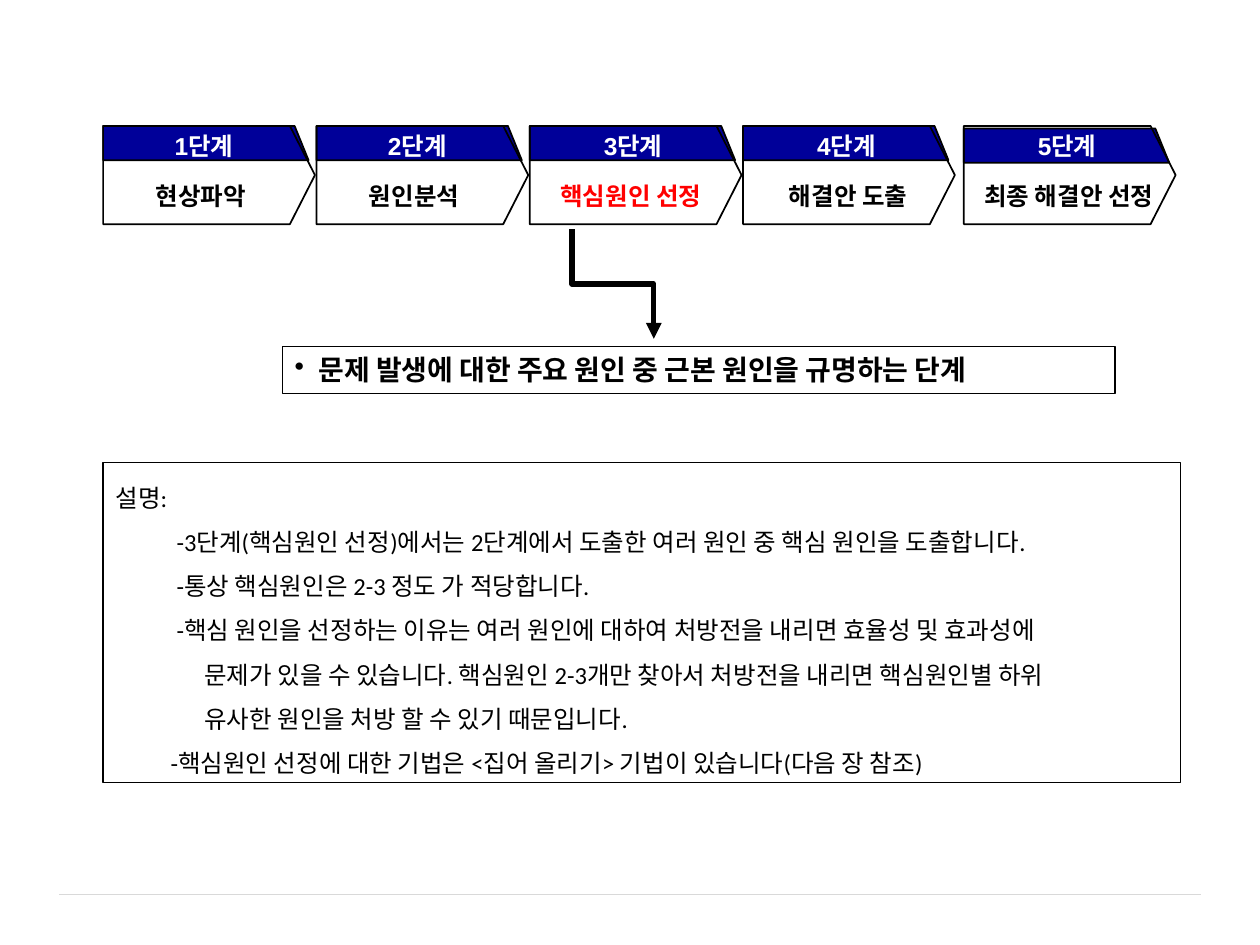
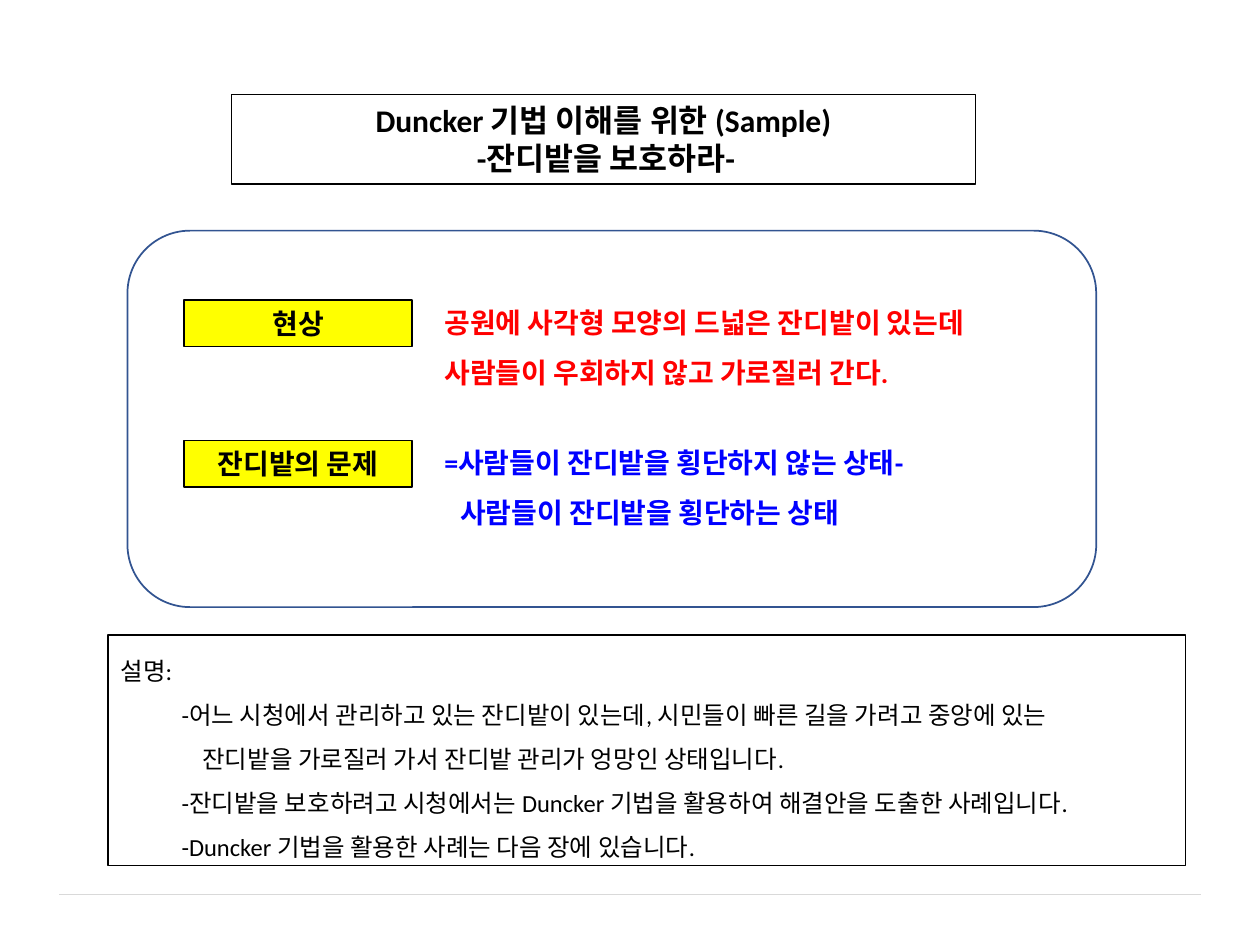
from dataclasses import dataclass
from typing import NamedTuple, Optional

from lxml import etree
from pptx import Presentation
from pptx import util as u
from pptx.dml.color import RGBColor
from pptx.enum import shapes, text
from pptx.oxml import ns

# Shared look
BLACK = RGBColor(0x00, 0x00, 0x00)
WHITE = RGBColor(0xFF, 0xFF, 0xFF)
RED = RGBColor(0xFF, 0x00, 0x00)
BLUE = RGBColor(0x00, 0x00, 0xFF)
NAVY = RGBColor(0x00, 0x00, 0x99)
YELLOW = RGBColor(0xFF, 0xFF, 0x00)
FRAME_BLUE = RGBColor(0x32, 0x54, 0x91)
FOOTER_GRAY = RGBColor(0xD9, 0xD9, 0xD9)
HEADING_FONT, BODY_FONT = "Arial", "Calibri"
CENTER = text.PP_ALIGN.CENTER
LEFT = text.PP_ALIGN.LEFT
NOTE_INDENT = 1.23


class Box(NamedTuple):
    """Position and size in centimetres."""
    left: float
    top: float
    width: float
    height: float

    def lengths(self) -> list:
        return [u.Cm(value) for value in self]


class Line(NamedTuple):
    """One paragraph with its left indent in centimetres."""
    words: str
    indent: float = 0
    bullet: Optional[str] = None


@dataclass
class Style:
    size: float
    color: RGBColor = BLACK
    bold: bool = True
    font: str = BODY_FONT
    align: text.PP_ALIGN = LEFT
    spacing: Optional[float] = None
    anchor: text.MSO_ANCHOR = text.MSO_ANCHOR.TOP


@dataclass
class Stage:
    heading: str
    label: str
    heading_shift: float
    label_shift: float
    color: RGBColor = BLACK
    shift: float = 0
    band_drop: float = 0


@dataclass
class Topic:
    tag: str
    lines: list
    color: RGBColor


STAGES = [
    Stage("1단계", "현상파악", -0.05, -0.2),
    Stage("2단계", "원인분석", -0.05, -0.2),
    Stage("3단계", "핵심원인 선정", 0, -0.13, RED),
    Stage("4단계", "해결안 도출", 0, -0.05),
    Stage("5단계", "최종 해결안 선정", 0, -0.05, shift=0.15, band_drop=0.05),
]
STAGE_LEFT, STAGE_TOP, STAGE_STEP = 2.08, 2.54, 4.3

STAGE_NOTES = [
    Line("설명:"),
    Line("-3단계(핵심원인 선정)에서는 2단계에서 도출한 여러 원인 중 핵심 원인을 도출합니다.", NOTE_INDENT),
    Line("-통상 핵심원인은 2-3 정도 가 적당합니다.", NOTE_INDENT),
    Line("-핵심 원인을 선정하는 이유는 여러 원인에 대하여 처방전을 내리면 효율성 및 효과성에", NOTE_INDENT),
    Line("문제가 있을 수 있습니다. 핵심원인 2-3개만 찾아서 처방전을 내리면 핵심원인별 하위", 1.79),
    Line("유사한 원인을 처방 할 수 있기 때문입니다.", 1.79),
    Line("-핵심원인 선정에 대한 기법은 <집어 올리기> 기법이 있습니다(다음 장 참조)", 1.11),
]
LAWN_NOTES = [
    Line("설명:"),
    Line("-어느 시청에서 관리하고 있는 잔디밭이 있는데, 시민들이 빠른 길을 가려고 중앙에 있는", NOTE_INDENT),
    Line("잔디밭을 가로질러 가서 잔디밭 관리가 엉망인 상태입니다.", 1.65),
    Line("-잔디밭을 보호하려고 시청에서는 Duncker 기법을 활용하여 해결안을 도출한 사례입니다.", NOTE_INDENT),
    Line("-Duncker 기법을 활용한 사례는 다음 장에 있습니다.", NOTE_INDENT),
]
TOPICS = [
    Topic("현상", [Line("공원에 사각형 모양의 드넓은 잔디밭이 있는데"),
                 Line("사람들이 우회하지 않고 가로질러 간다.")], RED),
    Topic("잔디밭의 문제", [Line("=사람들이 잔디밭을 횡단하지 않는 상태-"),
                      Line("사람들이 잔디밭을 횡단하는 상태", 0.32)], BLUE),
]


# Drawing helpers
def paint(shape, fill: Optional[RGBColor], line: RGBColor, width: float) -> None:
    shape.shadow.inherit = False
    if fill is None:
        shape.fill.background()
    else:
        shape.fill.solid()
        shape.fill.fore_color.rgb = fill
    shape.line.color.rgb = line
    shape.line.width = u.Pt(width)


def write(shape, lines: list, style: Style) -> None:
    frame = shape.text_frame
    frame.word_wrap = True
    frame.auto_size = text.MSO_AUTO_SIZE.SHAPE_TO_FIT_TEXT
    frame.vertical_anchor = style.anchor
    for index, line in enumerate(lines):
        paragraph = frame.paragraphs[0] if index == 0 else frame.add_paragraph()
        paragraph.alignment = style.align
        if style.spacing:
            paragraph.line_spacing = style.spacing
        if line.indent:
            properties = paragraph._p.get_or_add_pPr()
            properties.set("marL", str(u.Cm(line.indent)))
            if line.bullet:
                properties.set("indent", str(-u.Cm(line.indent)))
                etree.SubElement(properties, ns.qn("a:buChar"), char=line.bullet)
        run = paragraph.add_run()
        run.text = line.words
        run.font.name = style.font
        run.font.size = u.Pt(style.size)
        run.font.bold = style.bold
        run.font.color.rgb = style.color


def add_text(slide, box: Box, lines: list, style: Style) -> None:
    write(slide.shapes.add_textbox(*box.lengths()), lines, style)


def add_framed_text(slide, box: Box, lines: list, style: Style,
                    fill: Optional[RGBColor] = None) -> None:
    shape = slide.shapes.add_shape(shapes.MSO_SHAPE.RECTANGLE, *box.lengths())
    paint(shape, fill, BLACK, 0.75)
    write(shape, lines, style)


def add_notes(slide, box: Box, lines: list) -> None:
    add_framed_text(slide, box, lines, Style(14, bold=False, spacing=1.5))


def add_line(slide, kind, ends: tuple, color: RGBColor, width: float):
    connector = slide.shapes.add_connector(kind, *[u.Cm(value) for value in ends])
    connector.line.color.rgb = color
    connector.line.width = u.Pt(width)
    etree.SubElement(connector._element.spPr, ns.qn("a:effectLst"))
    return connector


def add_slide(presentation):
    slide = presentation.slides.add_slide(presentation.slide_layouts[6])
    add_line(slide, shapes.MSO_CONNECTOR.STRAIGHT, (1.19, 18.03, 24.21, 18.03),
             FOOTER_GRAY, 0.5)
    return slide


def add_stage(slide, stage: Stage, left: float) -> None:
    # Slanted heading band
    top = STAGE_TOP + stage.band_drop
    corners = [(left, top + 0.69), (left + 4.14, top + 0.69), (left + 3.86, top)]
    builder = slide.shapes.build_freeform(u.Cm(left), u.Cm(top))
    builder.add_line_segments([(u.Cm(x), u.Cm(y)) for x, y in corners], close=True)
    paint(builder.convert_to_shape(), NAVY, BLACK, 1)

    # Arrow outline
    outline = slide.shapes.add_shape(shapes.MSO_SHAPE.PENTAGON,
                                     *Box(left, STAGE_TOP, 4.27, 1.98).lengths())
    outline.adjustments[0] = 0.255
    paint(outline, None, BLACK, 1)

    # Heading and label
    add_text(slide, Box(left + stage.heading_shift, 2.51, 4.17, 0.84), [Line(stage.heading)],
             Style(14, WHITE, font=HEADING_FONT, align=CENTER))
    add_text(slide, Box(left + stage.label_shift, 3.53, 4.34, 0.84), [Line(stage.label)],
             Style(14, stage.color, font=HEADING_FONT, align=CENTER,
                   anchor=text.MSO_ANCHOR.MIDDLE))


def add_down_arrow(slide) -> None:
    """Elbow turned a quarter so that it leaves and arrives vertically."""
    arrow = add_line(slide, shapes.MSO_CONNECTOR.ELBOW, (13.46, 4.9, 11.25, 6.55), BLACK, 3)
    arrow._element.spPr.find(ns.qn("a:xfrm")).set("rot", str(270 * 60000))
    etree.SubElement(arrow.line._get_or_add_ln(), ns.qn("a:tailEnd"), type="triangle")


# Slides
def build_stage_slide(presentation) -> None:
    slide = add_slide(presentation)
    for index, stage in enumerate(STAGES):
        add_stage(slide, stage, STAGE_LEFT + index * STAGE_STEP + stage.shift)
    add_framed_text(slide, Box(5.69, 6.99, 16.79, 0.94),
                    [Line("문제 발생에 대한 주요 원인 중 근본 원인을 규명하는 단계", 0.48, "•")],
                    Style(16))
    add_down_arrow(slide)
    add_notes(slide, Box(2.08, 9.32, 21.72, 6.45), STAGE_NOTES)


def build_lawn_slide(presentation) -> None:
    slide = add_slide(presentation)
    add_framed_text(slide, Box(4.67, 1.91, 14.99, 1.8),
                    [Line("Duncker 기법 이해를 위한 (Sample)"), Line("-잔디밭을 보호하라-", 0.1)],
                    Style(18, align=CENTER))
    for index, topic in enumerate(TOPICS):
        drop = index * 2.83
        add_framed_text(slide, Box(3.71, 6.05 + drop, 4.6, 0.94), [Line(topic.tag)],
                        Style(16, align=CENTER), YELLOW)
        add_text(slide, Box(8.71, 5.69 + drop, 15.19, 2.18), topic.lines,
                 Style(16, topic.color, spacing=1.5))
    frame = slide.shapes.add_shape(shapes.MSO_SHAPE.ROUNDED_RECTANGLE,
                                   *Box(2.57, 4.65, 19.53, 7.59).lengths())
    paint(frame, None, FRAME_BLUE, 1)
    add_notes(slide, Box(2.18, 12.8, 21.72, 4.65), LAWN_NOTES)


def main() -> None:
    presentation = Presentation()
    presentation.slide_width = u.Cm(25.4)
    presentation.slide_height = u.Cm(19.05)
    build_stage_slide(presentation)
    build_lawn_slide(presentation)
    presentation.save("out.pptx")


if __name__ == "__main__":
    main()
